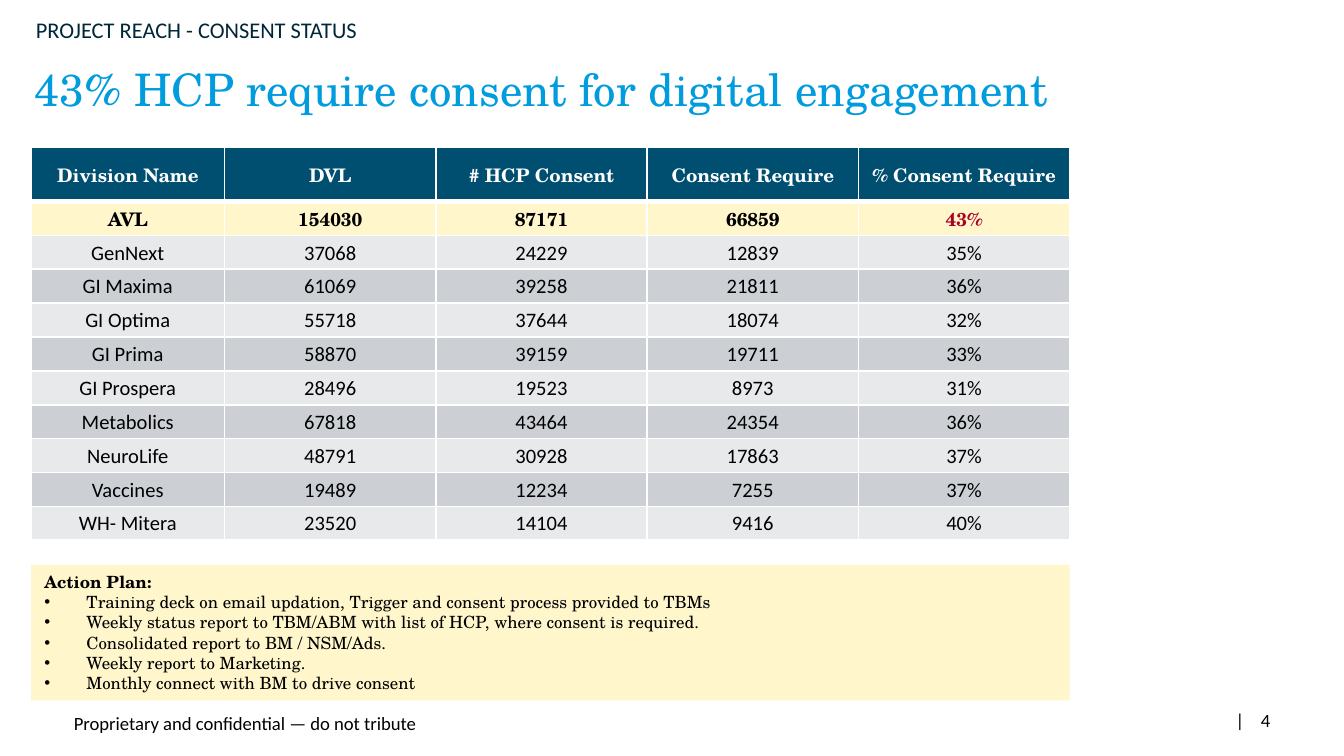
from dataclasses import dataclass

from lxml import etree
from pptx import Presentation
from pptx.dml.color import RGBColor
from pptx.enum import text
from pptx.oxml import ns
from pptx.util import Pt


@dataclass(frozen=True)
class Theme:
    serif: str = "TeX Gyre Schola"
    sans: str = "Calibri"
    black: str = "000000"
    white: str = "FFFFFF"
    navy: str = "002738"
    blue: str = "009CDE"
    header: str = "004F71"
    cream: str = "FFF6CC"
    red: str = "AB0020"
    bands: tuple = ("E7E9EB", "CCD0D5")
    title_size: float = 24
    kicker_size: float = 12
    cell_size: float = 11
    header_size: float = 10
    footer_size: float = 10
    plan_size: float = 9


theme = Theme()
LEFT, WIDTH = 16.6, 556.5


def style(p, name, size, color, bold=False):
    p.font.name = name
    p.font.size = Pt(size)
    p.font.bold = bold
    p.font.color.rgb = RGBColor.from_string(color)


def add(parent, tag, **attributes):
    return etree.SubElement(parent, ns.qn(tag), attributes)


prs = Presentation()
prs.slide_width, prs.slide_height = Pt(720), Pt(405)
s = prs.slides.add_slide(prs.slide_layouts[1])

# Title
title = s.shapes.title
title.left, title.top, title.width, title.height = Pt(11.5), Pt(29.5), Pt(676), Pt(36)
tf = title.text_frame
tf.auto_size = text.MSO_AUTO_SIZE.NONE
tf.vertical_anchor = text.MSO_ANCHOR.MIDDLE
p = tf.paragraphs[0]
p.text = "43% HCP require consent for digital engagement"
p.alignment = text.PP_ALIGN.LEFT
style(p, theme.serif, theme.title_size, theme.blue)

# Kicker and footer: words, box, left inset, anchor, size, colour
labels = [
    ("PROJECT REACH - CONSENT STATUS", (12.2, 5, 235, 21.8), 7.2,
     text.MSO_ANCHOR.TOP, theme.kicker_size, theme.navy),
    ("Proprietary and confidential — do not tribute", (39.6, 379.5, 240.5, 17.3), 0,
     text.MSO_ANCHOR.BOTTOM, theme.footer_size, theme.black),
    ("|\t4", (643, 375, 44.6, 21.6), 19,
     text.MSO_ANCHOR.MIDDLE, theme.footer_size, theme.black),
]
for words, box, inset, anchor, size, color in labels:
    sp = s.shapes.add_textbox(*map(Pt, box))
    tf = sp.text_frame
    tf.word_wrap = True
    tf.margin_left = Pt(inset)
    tf.margin_right = 0
    tf.vertical_anchor = anchor
    p = tf.paragraphs[0]
    p.text = words
    if "\t" in words:
        tabs = add(p._p.get_or_add_pPr(), "a:tabLst")
        add(tabs, "a:tab", pos=str(Pt(13.5)), algn="l")
    style(p, theme.sans, size, color)

# Consent table
rows = [
    ("Division Name", "DVL", "# HCP Consent", "Consent Require", "% Consent Require"),
    ("AVL", "154030", "87171", "66859", "43%"),
    ("GenNext", "37068", "24229", "12839", "35%"),
    ("GI Maxima", "61069", "39258", "21811", "36%"),
    ("GI Optima", "55718", "37644", "18074", "32%"),
    ("GI Prima", "58870", "39159", "19711", "33%"),
    ("GI Prospera", "28496", "19523", "8973", "31%"),
    ("Metabolics", "67818", "43464", "24354", "36%"),
    ("NeuroLife", "48791", "30928", "17863", "37%"),
    ("Vaccines", "19489", "12234", "7255", "37%"),
    ("WH- Mitera", "23520", "14104", "9416", "40%"),
]
HEADER_HEIGHT, ROW_HEIGHT = 29.3, 18.15
FIRST_COLUMN, COLUMN = 103.7, 113.2
table = s.shapes.add_table(len(rows), len(rows[0]), Pt(LEFT), Pt(78.7), Pt(WIDTH),
                           Pt(HEADER_HEIGHT + ROW_HEIGHT * (len(rows) - 1))).table
for i, column in enumerate(table.columns):
    column.width = Pt(COLUMN if i else FIRST_COLUMN)
for i, row in enumerate(rows):
    table.rows[i].height = Pt(ROW_HEIGHT if i else HEADER_HEIGHT)
    if i == 0:
        fill, font = theme.header, (theme.serif, theme.header_size, theme.white, True)
    elif i == 1:
        fill, font = theme.cream, (theme.serif, theme.header_size, theme.black, True)
    else:
        fill, font = theme.bands[i % 2], (theme.sans, theme.cell_size, theme.black)
    for j, value in enumerate(row):
        cell = table.cell(i, j)
        cell.margin_left = cell.margin_right = cell.margin_top = Pt(0.7)
        cell.margin_bottom = 0
        cell.vertical_anchor = text.MSO_ANCHOR.MIDDLE
        for side in "LRTB":
            thick = (i, side) in ((0, "B"), (1, "T"))
            ln = add(cell._tc.get_or_add_tcPr(), f"a:ln{side}", w=str(Pt(3 if thick else 1)))
            add(add(ln, "a:solidFill"), "a:srgbClr", val=theme.white)
        cell.fill.solid()
        cell.fill.fore_color.rgb = RGBColor.from_string(fill)
        p = cell.text_frame.paragraphs[0]
        p.text = value
        p.alignment = text.PP_ALIGN.CENTER
        style(p, *font)
table.cell(1, 4).text_frame.paragraphs[0].font.color.rgb = RGBColor.from_string(theme.red)

# Action plan
plan = s.placeholders[1]
plan.left, plan.top, plan.width, plan.height = Pt(LEFT), Pt(302.6), Pt(WIDTH), Pt(72.7)
plan.fill.solid()
plan.fill.fore_color.rgb = RGBColor.from_string(theme.cream)
tf = plan.text_frame
tf.auto_size = text.MSO_AUTO_SIZE.NONE
tf.vertical_anchor = text.MSO_ANCHOR.TOP
lines = [
    "Action Plan:",
    "Training deck on email updation, Trigger and consent process provided to TBMs",
    "Weekly status report to TBM/ABM with list of HCP, where consent is required.",
    "Consolidated report to BM / NSM/Ads.",
    "Weekly report to Marketing.",
    "Monthly connect with BM to drive consent",
]
for i, line in enumerate(lines):
    p = tf.add_paragraph() if i else tf.paragraphs[0]
    p.text = line
    p.space_before = Pt(0)
    pPr = p._p.get_or_add_pPr()
    indent = Pt(22.5) if i else 0
    pPr.set("marL", str(indent))
    pPr.set("indent", str(-indent))
    if i:
        add(pPr, "a:buFont", typeface="Arial")
        add(pPr, "a:buChar", char="•")
    else:
        add(pPr, "a:buNone")
    style(p, theme.serif, theme.plan_size, theme.black, bold=i == 0)

prs.save("out.pptx")
